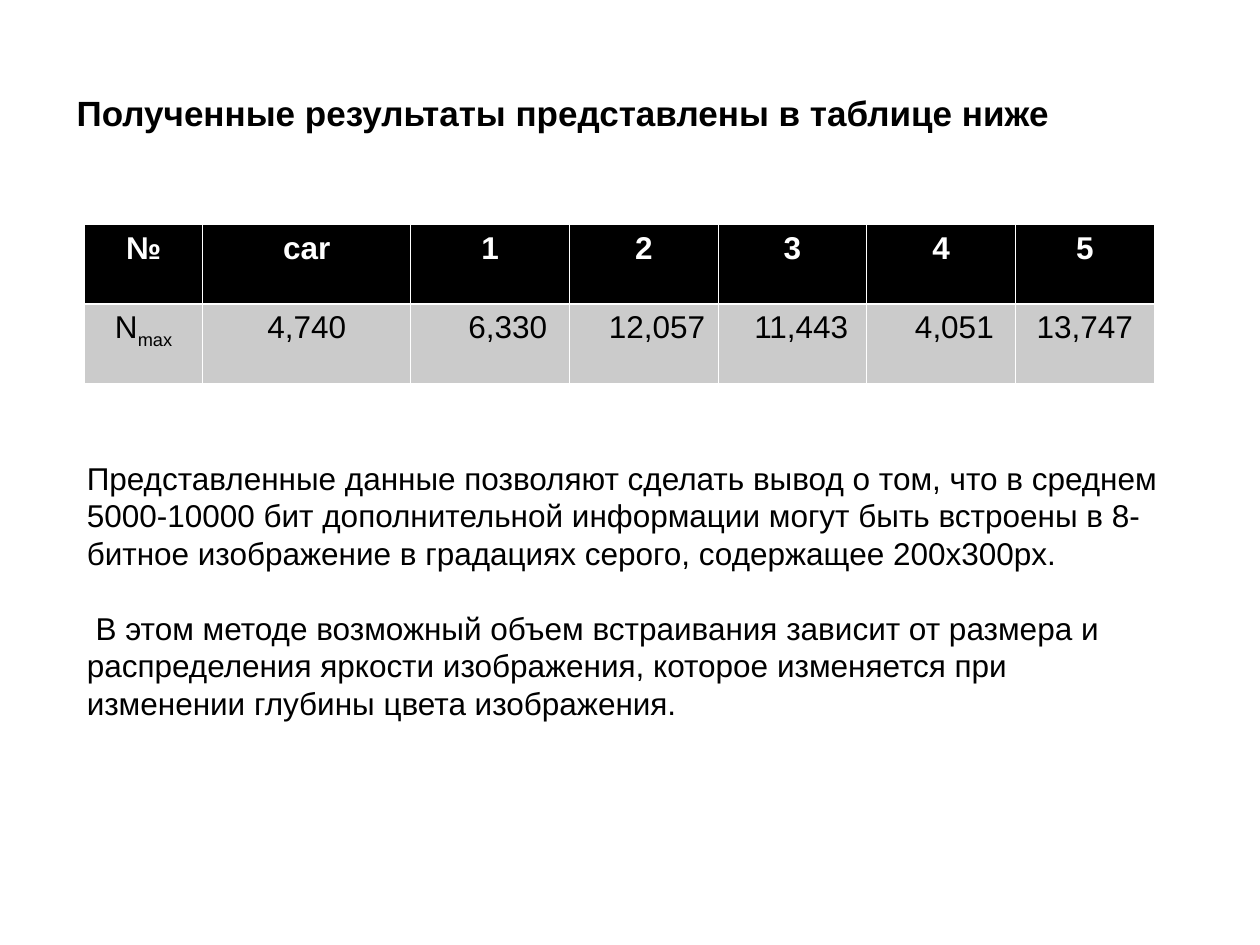
from dataclasses import dataclass

import lxml.etree
import pptx
import pptx.dml.color
import pptx.enum.text
import pptx.oxml.ns
import pptx.util

SLIDE_WIDTH = pptx.util.Inches(10)
SLIDE_HEIGHT = pptx.util.Inches(7.5)
GRID_COLUMNS = 100
UNIT = SLIDE_WIDTH / GRID_COLUMNS
FONT = "Arial"
BLACK = "000000"
WHITE = "FFFFFF"
GRAY = "CBCBCB"
BODY_SIZE = 18
SPACE = 0.7
THIN = 0.45
THICK = 1.47


@dataclass(frozen=True)
class Area:
    column: float
    row: float
    columns: float
    rows: float

    def lengths(self) -> tuple:
        return tuple(map(grid, (self.column, self.row, self.columns, self.rows)))


@dataclass(frozen=True)
class Span:
    text: str
    size: float = BODY_SIZE
    color: str = BLACK
    bold: bool = False
    baseline: int = 0


@dataclass(frozen=True)
class Para:
    spans: tuple
    indent: float = 0
    space_before: float = 0


@dataclass(frozen=True)
class TableColumn:
    width: float
    heading: str
    values: tuple
    shift: float = 0


@dataclass(frozen=True)
class RowStyle:
    fill: str
    top: float
    bottom: float


TITLE_AREA = Area(5.1, 6.8, 89.8, 4.4)
TABLE_AREA = Area(6.7, 17.8, 84.9, 12.6)
CONCLUSION_AREA = Area(5.9, 35.9, 88.2, 22)

COLUMNS = (
    TableColumn(9.4, "№", (Span("N"), Span("max", baseline=-25))),
    TableColumn(16.5, "car", (Span("4,740"),)),
    TableColumn(12.6, "1", (Span("6,330"),), 4 * SPACE),
    TableColumn(11.8, "2", (Span("12,057"),), 3 * SPACE),
    TableColumn(11.8, "3", (Span("11,443"),), 2 * SPACE),
    TableColumn(11.8, "4", (Span("4,051"),), 3 * SPACE),
    TableColumn(11, "5", (Span("13,747"),)),
)
HEADER = RowStyle(BLACK, THIN, THICK)
BODY = RowStyle(GRAY, THICK, THIN)

TITLE = (
    Para((Span("Полученные результаты представлены в таблице ниже", 20, bold=True),)),
)
CONCLUSIONS = (
    Para((Span(
        "Представленные данные позволяют сделать вывод о том, что в среднем "
        "5000-10000 бит дополнительной информации могут быть встроены в "
        "8-битное изображение в градациях серого, содержащее 200x300px."
    ),)),
    Para((Span(
        "В этом методе возможный объем встраивания зависит от размера и "
        "распределения яркости изображения, которое изменяется при "
        "изменении глубины цвета изображения."
    ),), indent=SPACE, space_before=21),
)


def grid(units: float) -> int:
    return round(units * UNIT)


def rgb(value: str) -> pptx.dml.color.RGBColor:
    return pptx.dml.color.RGBColor.from_string(value)


def add_spans(para, spans: tuple) -> None:
    for span in spans:
        run = para.add_run()
        run.text = span.text
        run.font.name = FONT
        run.font.size = pptx.util.Pt(span.size)
        run.font.bold = span.bold
        run.font.color.rgb = rgb(span.color)
        if span.baseline:
            run.font._element.set("baseline", str(span.baseline * 1000))


def add_text(page, area: Area, paras: tuple) -> None:
    frame = page.shapes.add_textbox(*area.lengths()).text_frame
    frame.word_wrap = True
    for index, content in enumerate(paras):
        para = frame.add_paragraph() if index else frame.paragraphs[0]
        if content.indent:
            para._p.get_or_add_pPr().set("indent", str(grid(content.indent)))
        if content.space_before:
            para.space_before = pptx.util.Pt(content.space_before)
        add_spans(para, content.spans)


def add_border(cell, edge: str, width: float) -> None:
    name = pptx.oxml.ns.qn
    properties = cell._tc.get_or_add_tcPr()
    line = lxml.etree.SubElement(
        properties, name(f"a:ln{edge}"), w=str(pptx.util.Pt(width))
    )
    fill = lxml.etree.SubElement(line, name("a:solidFill"))
    lxml.etree.SubElement(fill, name("a:srgbClr"), val=WHITE)


def fill_cell(cell, style: RowStyle, spans: tuple, shift: float = 0) -> None:
    for edge, width in zip("LRTB", (THIN, THIN, style.top, style.bottom)):
        add_border(cell, edge, width)
    cell.fill.solid()
    cell.fill.fore_color.rgb = rgb(style.fill)
    cell.margin_left = grid(1 + shift)
    para = cell.text_frame.paragraphs[0]
    para.alignment = pptx.enum.text.PP_ALIGN.CENTER
    add_spans(para, spans)


def add_results(page, area: Area, columns: tuple) -> None:
    table = page.shapes.add_table(2, len(columns), *area.lengths()).table
    table.first_row = False
    table.horz_banding = False
    for index, column in enumerate(columns):
        table.columns[index].width = grid(column.width)
        heading = Span(column.heading, color=WHITE, bold=True)
        fill_cell(table.cell(0, index), HEADER, (heading,))
        fill_cell(table.cell(1, index), BODY, column.values, column.shift)


def main() -> None:
    deck = pptx.Presentation()
    deck.slide_width = SLIDE_WIDTH
    deck.slide_height = SLIDE_HEIGHT
    page = deck.slides.add_slide(deck.slide_layouts[6])
    add_text(page, TITLE_AREA, TITLE)
    add_results(page, TABLE_AREA, COLUMNS)
    add_text(page, CONCLUSION_AREA, CONCLUSIONS)
    deck.save("out.pptx")


if __name__ == "__main__":
    main()
